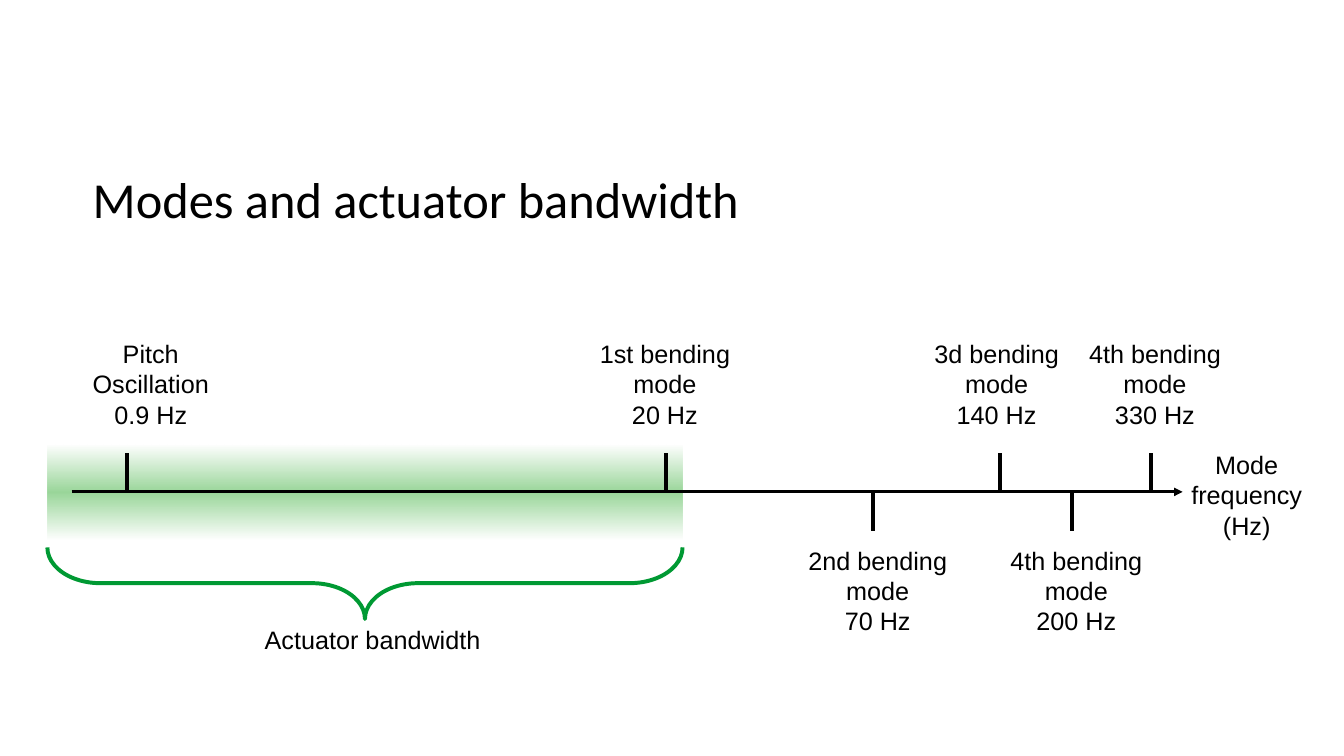
import pptx
import pptx.dml.color
import pptx.enum.shapes
import pptx.enum.text
import pptx.oxml
import pptx.oxml.ns
import pptx.util

Inches = pptx.util.Inches
Pt = pptx.util.Pt
qn = pptx.oxml.ns.qn
SHAPES = pptx.enum.shapes.MSO_SHAPE
ALIGN = pptx.enum.text.PP_ALIGN
ANCHOR = pptx.enum.text.MSO_ANCHOR

COLOURS = {"ink": "000000", "band": "009900", "brace": "009933"}
AXIS_TOP = 4.88
TICK_LENGTH = 0.39
LABEL_TOP = {"above": 3.31, "below": 5.36}

# name, frequency, side of the axis, tick position, label left, label width
MODES = [
    ("Pitch Oscillation", "0.9 Hz", "above", 1.26, 0.55, 1.89),
    ("1st bending mode", "20 Hz", "above", 6.61, 5.61, 1.97),
    ("2nd bending mode", "70 Hz", "below", 8.66, 7.72, 1.97),
    ("3d bending mode", "140 Hz", "above", 9.92, 8.9, 1.97),
    ("4th bending mode", "200 Hz", "below", 10.63, 9.69, 1.97),
    ("4th bending mode", "330 Hz", "above", 11.42, 10.47, 1.97),
]


def colour(name):
    return pptx.dml.color.RGBColor.from_string(COLOURS[name])


class ModeSlide:
    """Holds the text style and the slide being drawn."""

    def __init__(self, slide, font="Arial", size=18):
        self.slide = slide
        self.font = font
        self.size = size

    def text(self, text, left, top, width, height, *, font=None, size=None,
             align=ALIGN.CENTER, anchor=ANCHOR.TOP, margins=(0.1, 0.05)):
        """Add a text box; each line of the text is a paragraph."""
        box = self.slide.shapes.add_textbox(
            Inches(left), Inches(top), Inches(width), Inches(height))
        frame = box.text_frame
        frame.word_wrap = True
        frame.vertical_anchor = anchor
        frame.margin_left = frame.margin_right = Inches(margins[0])
        frame.margin_top = frame.margin_bottom = Inches(margins[1])
        frame.text = text
        for paragraph in frame.paragraphs:
            paragraph.alignment = align
            run_font = paragraph.runs[0].font
            run_font.name = font or self.font
            run_font.size = Pt(size or self.size)
            run_font.color.rgb = colour("ink")

    def line(self, start, end, width, arrow=False):
        connector = self.slide.shapes.add_connector(
            pptx.enum.shapes.MSO_CONNECTOR.STRAIGHT,
            Inches(start[0]), Inches(start[1]), Inches(end[0]), Inches(end[1]))
        connector.line.color.rgb = colour("ink")
        connector.line.width = Pt(width)
        properties = connector._element.spPr
        if arrow:
            head = properties.find(qn("a:ln")).makeelement(
                qn("a:tailEnd"), {"type": "triangle"})
            properties.find(qn("a:ln")).append(head)
        properties.append(properties.makeelement(qn("a:effectLst"), {}))

    def shape(self, kind, left, top, width, height):
        shape = self.slide.shapes.add_shape(
            kind, Inches(left), Inches(top), Inches(width), Inches(height))
        shape.shadow.inherit = False
        shape.fill.background()
        shape.line.fill.background()
        return shape

    def glow_band(self, left, top, width, height):
        """Add a band that fades out to its upper and lower edges."""
        band = self.shape(SHAPES.RECTANGLE, left, top, width, height)
        stops = "".join(
            f'<a:gs pos="{position}"><a:srgbClr val="{COLOURS["band"]}">'
            f'<a:alpha val="{alpha}"/></a:srgbClr></a:gs>'
            for position, alpha in ((0, 0), (50000, 40000), (100000, 0)))
        gradient = pptx.oxml.parse_xml(
            f'<a:gradFill {pptx.oxml.ns.nsdecls("a")} rotWithShape="1">'
            f'<a:gsLst>{stops}</a:gsLst><a:lin ang="5400000" scaled="0"/>'
            '</a:gradFill>')
        properties = band._element.spPr
        properties.replace(properties.find(qn("a:noFill")), gradient)

    def brace_below(self, left, top, width, height):
        """Add a brace that points down, turned from a left brace."""
        brace = self.shape(
            SHAPES.LEFT_BRACE, left + (width - height) / 2,
            top + (height - width) / 2, height, width)
        brace.rotation = 270
        brace.adjustments[0] = 0.74
        brace.line.color.rgb = colour("brace")
        brace.line.width = Pt(2.83)


def main():
    presentation = pptx.Presentation()
    presentation.slide_width = Inches(13.33)
    presentation.slide_height = Inches(7.5)
    page = ModeSlide(presentation.slides.add_slide(presentation.slide_layouts[6]))

    page.glow_band(0.47, 4.41, 6.3, 0.94)
    page.text("Modes and actuator bandwidth", 0.92, 1.43, 11.5, 1.08,
              font="Calibri", size=36, align=ALIGN.LEFT,
              anchor=ANCHOR.MIDDLE, margins=(0, 0))
    page.line((0.71, AXIS_TOP), (11.73, AXIS_TOP), 0, arrow=True)
    page.text("Mode frequency\n(Hz)", 11.42, 4.41, 1.89, 1.13)

    for name, frequency, side, tick, left, width in MODES:
        reach = -TICK_LENGTH if side == "above" else TICK_LENGTH
        page.line((tick, AXIS_TOP), (tick, AXIS_TOP + reach), 2.83)
        page.text(f"{name}\n{frequency}", left, LABEL_TOP[side], width, 0.94)

    page.brace_below(0.47, 5.43, 6.3, 0.71)
    page.text("Actuator bandwidth", 1.65, 6.14, 4.09, 0.38)
    presentation.save("out.pptx")


if __name__ == "__main__":
    main()
